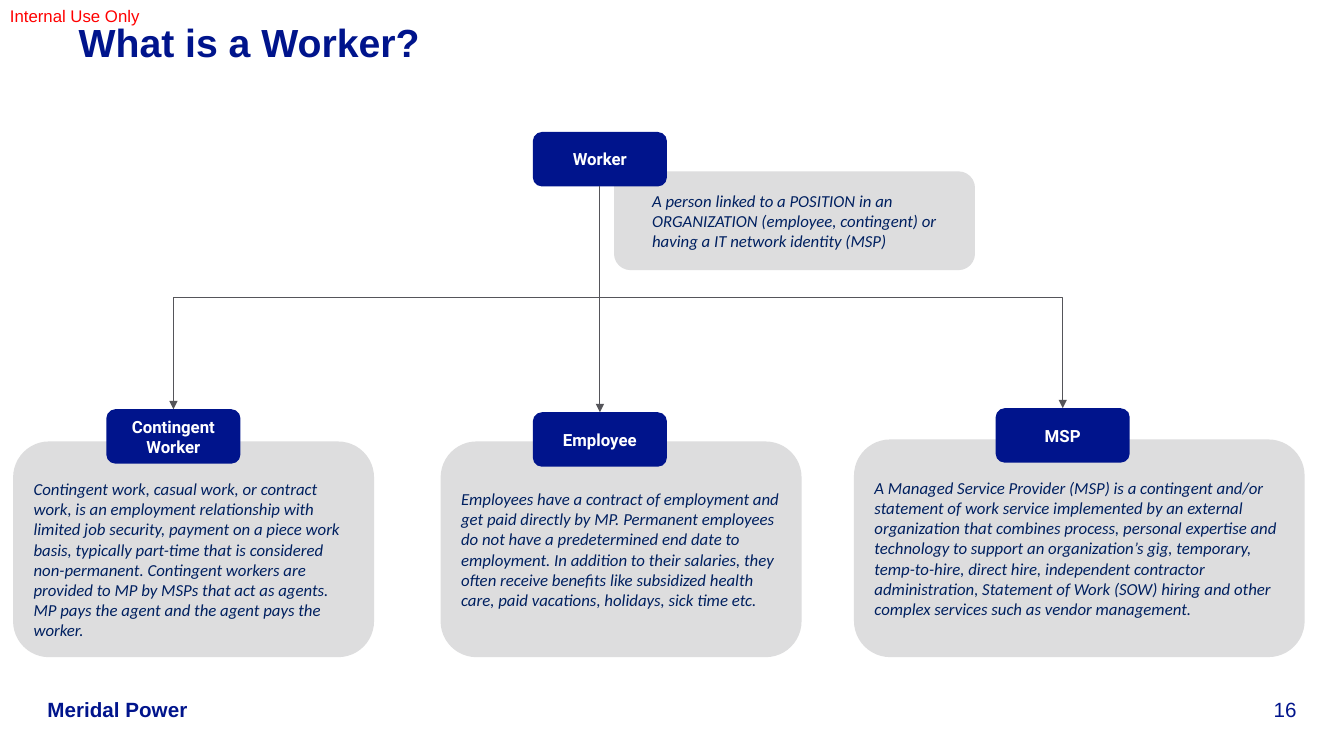
from dataclasses import dataclass

from lxml import etree
from pptx import Presentation
from pptx.dml.color import RGBColor
from pptx.enum.shapes import MSO_CONNECTOR, MSO_SHAPE
from pptx.enum.text import MSO_ANCHOR, PP_ALIGN
from pptx.oxml.ns import qn
from pptx.util import Inches, Pt

ROUNDED = MSO_SHAPE.ROUNDED_RECTANGLE
STRAIGHT, ELBOW = MSO_CONNECTOR.STRAIGHT, MSO_CONNECTOR.ELBOW
TOP, MIDDLE, BOTTOM = MSO_ANCHOR.TOP, MSO_ANCHOR.MIDDLE, MSO_ANCHOR.BOTTOM
LEFT, CENTER, RIGHT = PP_ALIGN.LEFT, PP_ALIGN.CENTER, PP_ALIGN.RIGHT

COLORS = {
    "navy": "00148C",
    "note": "002060",
    "panel": "DDDDDE",
    "white": "FFFFFF",
    "arrow": "55555A",
    "alert": "FF0000",
}
ROLE_WIDTH, ROLE_HEIGHT = 1.33, 0.54
CORNER = 1 / 6


@dataclass(frozen=True)
class TextStyle:
    font: dict
    color: str
    align: int = LEFT
    anchor: int = MIDDLE
    space_after: float = 0


@dataclass(frozen=True)
class Caption:
    text: str
    box: tuple
    style: TextStyle
    insets: tuple = (0, 0, 0, 0)


@dataclass(frozen=True)
class Panel:
    text: str
    box: tuple
    insets: tuple = (0.1, 0.05, 0.1, 0.05)


@dataclass(frozen=True)
class Role:
    name: str
    center: float
    top: float


NOTE = TextStyle({"name": "Calibri", "size": Pt(12), "italic": True}, "note")
ROLE = TextStyle({"name": "Roboto", "size": Pt(12), "bold": True}, "white",
                 CENTER, space_after=4.5)
TITLE = TextStyle({"name": "Arial", "size": Pt(28), "bold": True}, "navy", anchor=TOP)
LABEL = TextStyle({"name": "Arial", "size": Pt(12)}, "alert", anchor=TOP)
FOOTER = TextStyle({"name": "Arial", "size": Pt(14.7), "bold": True}, "navy",
                   anchor=BOTTOM)
NUMBER = TextStyle({"name": "Arial", "size": Pt(14.7)}, "navy", RIGHT, BOTTOM)

CAPTIONS = [
    Caption("16", (12.08, 6.91, 0.78, 0.25), NUMBER),
    Caption("Meridal Power", (0.47, 6.91, 2, 0.25), FOOTER),
    Caption("What is a Worker?", (0.78, 0.18, 12.05, 0.46), TITLE),
    Caption("Internal Use Only", (0, 0.01, 2.39, 0.3), LABEL, (0.1, 0.05, 0.1, 0.05)),
]

PANELS = [
    Panel("A person linked to a POSITION in an ORGANIZATION (employee, contingent) "
          "or having a IT network identity (MSP)",
          (6.09, 1.7, 3.58, 0.98), (0.33, 0.05, 0.1, 0.05)),
    Panel("Contingent work, casual work, or contract work, is an employment "
          "relationship with limited job security, payment on a piece work basis, "
          "typically part-time that is considered non-permanent. Contingent workers "
          "are provided to MP by MSPs that act as agents. MP pays the agent and the "
          "agent pays the worker.",
          (0.13, 4.38, 3.58, 2.14), (0.1, 0.25, 0.1, 0.05)),
    Panel("Employees have a contract of employment and get paid directly by MP. "
          "Permanent employees do not have a predetermined end date to employment. "
          "In addition to their salaries, they often receive benefits like "
          "subsidized health care, paid vacations, holidays, sick time etc.",
          (4.37, 4.38, 3.58, 2.14)),
    Panel("A Managed Service Provider (MSP) is a contingent and/or statement of work "
          "service implemented by an external organization that combines process, "
          "personal expertise and technology to support an organization’s gig, "
          "temporary, temp-to-hire, direct hire, independent contractor "
          "administration, Statement of Work (SOW) hiring and other complex services "
          "such as vendor management.",
          (8.47, 4.36, 4.47, 2.16)),
]

WORKER = Role("Worker", 5.95, 1.31)
WORKER_TYPES = [
    Role("Contingent Worker", 1.72, 4.06),
    Role("Employee", 5.95, 4.09),
    Role("MSP", 10.54, 4.05),
]


def color(name: str) -> RGBColor:
    return RGBColor.from_string(COLORS[name])


def write(holder, text: str, style: TextStyle, insets: tuple) -> None:
    frame = holder.text_frame
    left, top, right, bottom = map(Inches, insets)
    layout = {"word_wrap": True, "vertical_anchor": style.anchor,
              "margin_left": left, "margin_top": top,
              "margin_right": right, "margin_bottom": bottom}
    for attribute, value in layout.items():
        setattr(frame, attribute, value)
    paragraph = frame.paragraphs[0]
    paragraph.alignment = style.align
    paragraph.space_after = Pt(style.space_after)
    run = paragraph.add_run()
    run.text = text
    for attribute, value in style.font.items():
        setattr(run.font, attribute, value)
    run.font.color.rgb = color(style.color)


def add_caption(slide, caption: Caption) -> None:
    holder = slide.shapes.add_textbox(*map(Inches, caption.box))
    write(holder, caption.text, caption.style, caption.insets)


def add_rounded(slide, box: tuple, fill: str, text: str, style: TextStyle,
                insets: tuple) -> None:
    rounded = slide.shapes.add_shape(ROUNDED, *map(Inches, box))
    rounded.adjustments[0] = CORNER
    rounded.shadow.inherit = False
    rounded.fill.solid()
    rounded.fill.fore_color.rgb = color(fill)
    rounded.line.fill.background()
    write(rounded, text, style, insets)


def add_role(slide, role: Role) -> None:
    box = (role.center - ROLE_WIDTH / 2, role.top, ROLE_WIDTH, ROLE_HEIGHT)
    add_rounded(slide, box, "navy", role.name, ROLE, (0.1, 0.05, 0.1, 0.05))


def add_branch(slide, parent: Role, child: Role) -> None:
    start_y, drop = parent.top + ROLE_HEIGHT, child.top - parent.top - ROLE_HEIGHT
    shift = child.center - parent.center
    if shift == 0:
        ends = (parent.center, start_y, child.center, child.top)
        branch = slide.shapes.add_connector(STRAIGHT, *map(Inches, ends))
    else:
        # An elbow leaves sideways, so it is laid out on its side and turned
        middle_x, middle_y = parent.center + shift / 2, start_y + drop / 2
        reach = drop / 2 if shift > 0 else -drop / 2
        ends = (middle_x + reach, middle_y - abs(shift) / 2,
                middle_x - reach, middle_y + abs(shift) / 2)
        branch = slide.shapes.add_connector(ELBOW, *map(Inches, ends))
        degrees = 270 if shift > 0 else 90
        branch._element.spPr.find(qn("a:xfrm")).set("rot", str(degrees * 60000))
    branch.line.color.rgb = color("arrow")
    branch.line.width = Pt(0.75)
    etree.SubElement(branch.line._get_or_add_ln(), qn("a:tailEnd"), type="triangle")
    etree.SubElement(branch._element.spPr, qn("a:effectLst"))


def main() -> None:
    deck = Presentation()
    deck.slide_width, deck.slide_height = Inches(13.33), Inches(7.5)
    slide = deck.slides.add_slide(deck.slide_layouts[6])

    # Descriptions behind the role boxes
    for panel in PANELS:
        add_rounded(slide, panel.box, "panel", panel.text, NOTE, panel.insets)

    # Hierarchy of roles
    for role in [WORKER, *WORKER_TYPES]:
        add_role(slide, role)
    for worker_type in WORKER_TYPES:
        add_branch(slide, WORKER, worker_type)

    # Title, label and footer
    for caption in CAPTIONS:
        add_caption(slide, caption)

    deck.save("out.pptx")


if __name__ == "__main__":
    main()
